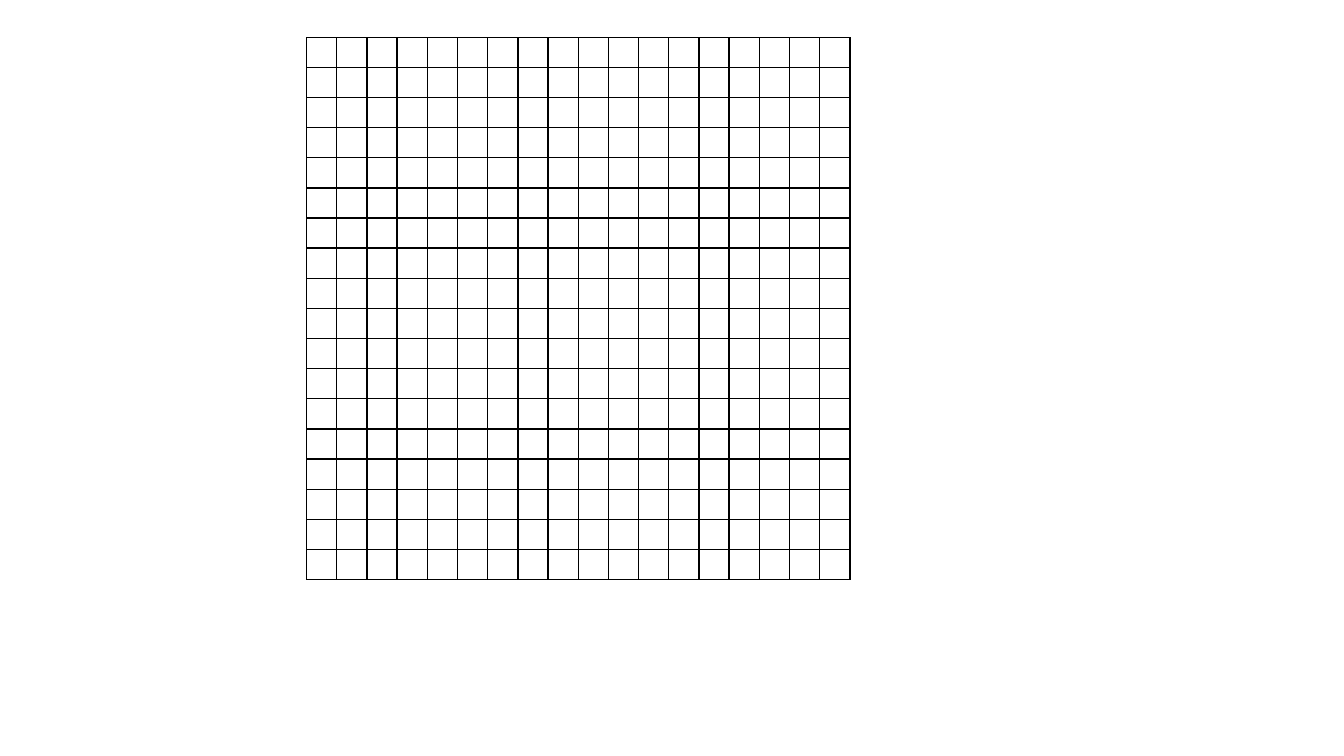
from dataclasses import dataclass

from lxml.etree import SubElement
from pptx import Presentation
from pptx.dml.color import RGBColor
from pptx.enum.shapes import MSO_CONNECTOR as Conn
from pptx.oxml.ns import qn
from pptx.shapes.shapetree import SlideShapes
from pptx.util import Inches, Pt

COLORS = {"grid": "000000"}
CELLS = 18
LEFT, RIGHT = 3.04, 8.43
TOP, BOTTOM = 0.37, 5.75


@dataclass(frozen=True)
class GridLine:
    x1: float
    y1: float
    x2: float
    y2: float


def spread(first: float, last: float) -> list[float]:
    return [first + (last - first) * i / CELLS for i in range(CELLS + 1)]


def draw_line(shapes: SlideShapes, line: GridLine) -> None:
    c = shapes.add_connector(
        Conn.STRAIGHT,
        Inches(line.x1), Inches(line.y1), Inches(line.x2), Inches(line.y2),
    )
    c.line.color.rgb = RGBColor.from_string(COLORS["grid"])
    c.line.width = Pt(1)
    SubElement(c._element.spPr, qn("a:effectLst"))


prs = Presentation()
prs.slide_width, prs.slide_height = Inches(13.33), Inches(7.5)
s = prs.slides.add_slide(prs.slide_layouts[6])

rows = [GridLine(LEFT, y, RIGHT, y) for y in spread(TOP, BOTTOM)]
columns = [GridLine(x, TOP, x, BOTTOM) for x in spread(LEFT, RIGHT)]
for line in rows + columns:
    draw_line(s.shapes, line)

prs.save("out.pptx")
